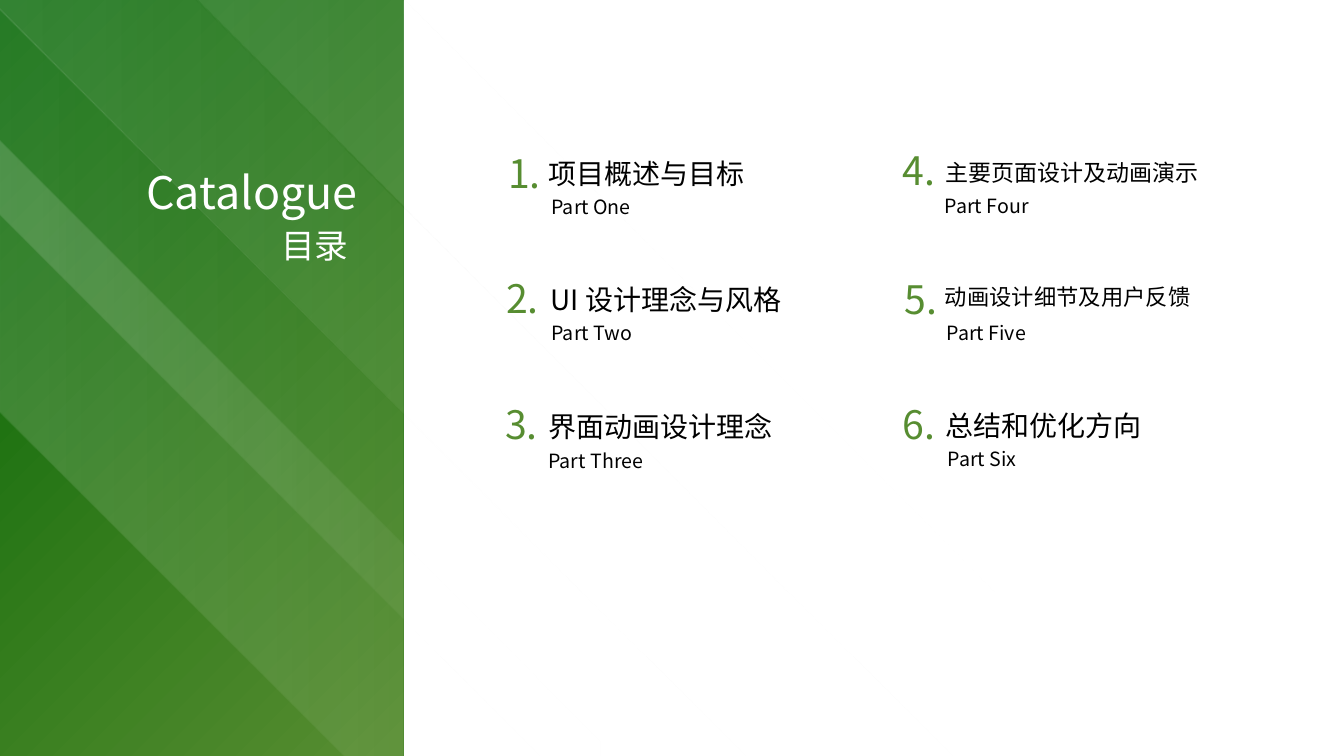
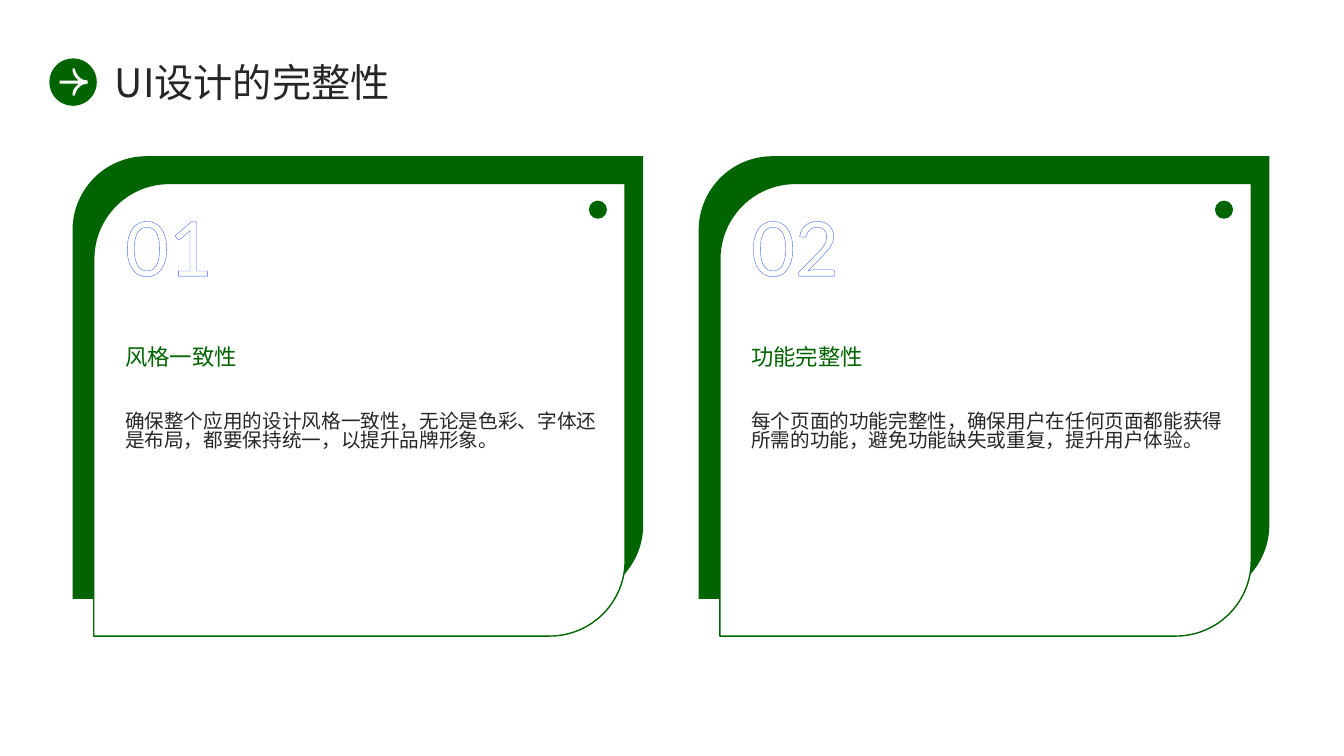
"""Build a contents slide and a two-card slide in green."""
import pptx
import pptx.util
import pptx.dml.color
import pptx.enum.shapes
import pptx.enum.text
import pptx.oxml
import pptx.oxml.ns

PX = 9144
HUES = {
    "green": "006400",
    "leaf": "578D31",
    "white": "FFFFFF",
    "black": "000000",
    "dark": "262626",
    "blue": "3860F4",
}
SANS = "Noto Sans CJK SC"
LATO = "Lato"
KIND = pptx.enum.shapes.MSO_SHAPE
TOP = pptx.enum.text.MSO_ANCHOR.TOP
MID = pptx.enum.text.MSO_ANCHOR.MIDDLE
LEFT = pptx.enum.text.PP_ALIGN.LEFT
RIGHT = pptx.enum.text.PP_ALIGN.RIGHT

PARTS = [
    ("1.", 504, 150, "项目概述与目标", 544, 158, 20, "Part One", 547, 196),
    ("2.", 502, 274, "UI 设计理念与风格", 546, 283, 20, "Part Two", 547, 321),
    ("3.", 501, 399, "界面动画设计理念", 544, 409, 20, "Part Three", 544, 447),
    ("4.", 895, 147, "主要页面设计及动画演示", 938, 160, 16.4, "Part Four", 937, 195),
    ("5.", 897, 275, "动画设计细节及用户反馈", 937, 283, 15.9, "Part Five", 939, 321),
    ("6.", 895, 399, "总结和优化方向", 938, 408, 20, "Part Six", 940, 446),
]
CARDS = [
    ("01", "风格一致性",
     "确保整个应用的设计风格一致性，无论是色彩、字体还是布局，都要保持统一，以提升品牌形象。"),
    ("02", "功能完整性",
     "每个页面的功能完整性，确保用户在任何页面都能获得所需的功能，避免功能缺失或重复，提升用户体验。"),
]


def rgb(hue):
    return pptx.dml.color.RGBColor.from_string(HUES[hue])


def paint(shape, fill, line=None):
    shape.shadow.inherit = False
    shape.fill.solid()
    shape.fill.fore_color.rgb = rgb(fill)
    if line:
        shape.line.color.rgb = rgb(line)
        shape.line.width = pptx.util.Pt(1)
    else:
        shape.line.fill.background()


def blend(shape, hues, angle, fades=None):
    shape.shadow.inherit = False
    shape.line.fill.background()
    shape.fill.gradient()
    shape.fill.gradient_angle = angle
    stops = shape.fill.gradient_stops
    for i, (stop, hue) in enumerate(zip(stops, hues)):
        stop.position = (0, 0.99)[i]
        stop.color.rgb = rgb(hue)
    if fades:
        tag = pptx.oxml.ns.qn("a:srgbClr")
        for node, fade in zip(shape.fill._xPr.iter(tag), fades):
            alpha = node.makeelement(pptx.oxml.ns.qn("a:alpha"), {"val": str(fade * 1000)})
            node.append(alpha)


def block(slide, kind, x, y, w, h):
    return slide.shapes.add_shape(kind, x * PX, y * PX, w * PX, h * PX)


def outline(slide, points):
    points = [(x * PX, y * PX) for x, y in points]
    pen = slide.shapes.build_freeform(*points[0], scale=1)
    pen.add_line_segments(points[1:], close=True)
    return pen.convert_to_shape()


def stroke(run, hue, width):
    space = pptx.oxml.ns.nsdecls("a")
    line = pptx.oxml.parse_xml(
        f'<a:ln {space} w="{pptx.util.Pt(width)}"><a:solidFill>'
        f'<a:srgbClr val="{HUES[hue]}"/></a:solidFill></a:ln>')
    run.font._element.insert(0, line)


def label(slide, x, y, w, h, text, size, hue, anchor=MID, align=LEFT, font=SANS, space=None):
    box = slide.shapes.add_textbox(x * PX, y * PX, w * PX, h * PX)
    frame = box.text_frame
    frame.word_wrap = True
    frame.vertical_anchor = anchor
    frame.margin_left = frame.margin_right = 0
    frame.margin_top = frame.margin_bottom = 0
    para = frame.paragraphs[0]
    para.alignment = align
    if space:
        para.line_spacing = space
    run = para.add_run()
    run.text = text
    run.font.size = pptx.util.Pt(size)
    run.font.color.rgb = rgb(hue)
    run.font.name = font
    props = run.font._element
    props.append(props.makeelement(pptx.oxml.ns.qn("a:ea"), {"typeface": font}))
    return run


def panel(slide):
    back = block(slide, KIND.RECTANGLE, 0, 0, 400, 750)
    blend(back, ("green", "leaf"), 315)
    slant = [(810, 603), (205, -2), (0, -2), (755, 752), (810, 752)]
    bands = [[(x + left, y) for x, y in slant] for left in (193, -12, -216)]
    bands.append([(-216, -2), (-142, -2), (612, 752), (343, 752), (-216, 194)])
    for band in bands:
        blend(outline(slide, band), ("white", "white"), 0, (20, 0))
    label(slide, 131, 166, 224, 49, "Catalogue", 32, "white", align=RIGHT)
    label(slide, 279, 225, 76, 36, "目录", 24, "white")


def entry(slide, num, nx, ny, title, tx, ty, size, part, px, py):
    label(slide, nx, ny, 42, 43, num, 28, "leaf")
    label(slide, tx, ty, 256, 28 if size == 20 else 22, title, size, "black")
    label(slide, px, py, 280, 19, part, 14, "black")


def header(slide, text):
    label(slide, 114, 58, 1145, 47, text, 28, "dark")
    paint(block(slide, KIND.OVAL, 49, 58, 47, 47), "green")
    half = [(59, 80), (78, 80), (75, 77), (73, 74), (72, 71), (72, 68), (74, 68),
            (75, 71), (77, 75), (79, 77), (82, 79), (87, 80)]
    arrow = half + [(x, 163 - y) for x, y in reversed(half)]
    paint(outline(slide, arrow), "white")


def card(slide, x, num, title, body):
    paint(block(slide, KIND.ROUND_2_DIAG_RECTANGLE, x, 155, 566, 439), "green")
    paint(block(slide, KIND.ROUND_2_DIAG_RECTANGLE, x + 21, 182, 527, 449), "white", "green")
    run = label(slide, x + 52, 199, 135, 116, num, 54, "white", TOP, font=LATO)
    stroke(run, "blue", 1.25)
    label(slide, x + 52, 410, 469, 179, body, 14, "dark", TOP, space=0.81)
    paint(block(slide, KIND.OVAL, x + 512, 199, 18, 18), "green")
    label(slide, x + 52, 304, 469, 99, title, 16, "green")


def main():
    deck = pptx.Presentation()
    deck.slide_width, deck.slide_height = 1333 * PX, 750 * PX
    blank = deck.slide_layouts[6]
    slide = deck.slides.add_slide(blank)
    panel(slide)
    for part in PARTS:
        entry(slide, *part)
    slide = deck.slides.add_slide(blank)
    for i, texts in enumerate(CARDS):
        card(slide, 72 + 621 * i, *texts)
    header(slide, "UI设计的完整性")
    deck.save("out.pptx")


if __name__ == "__main__":
    main()
